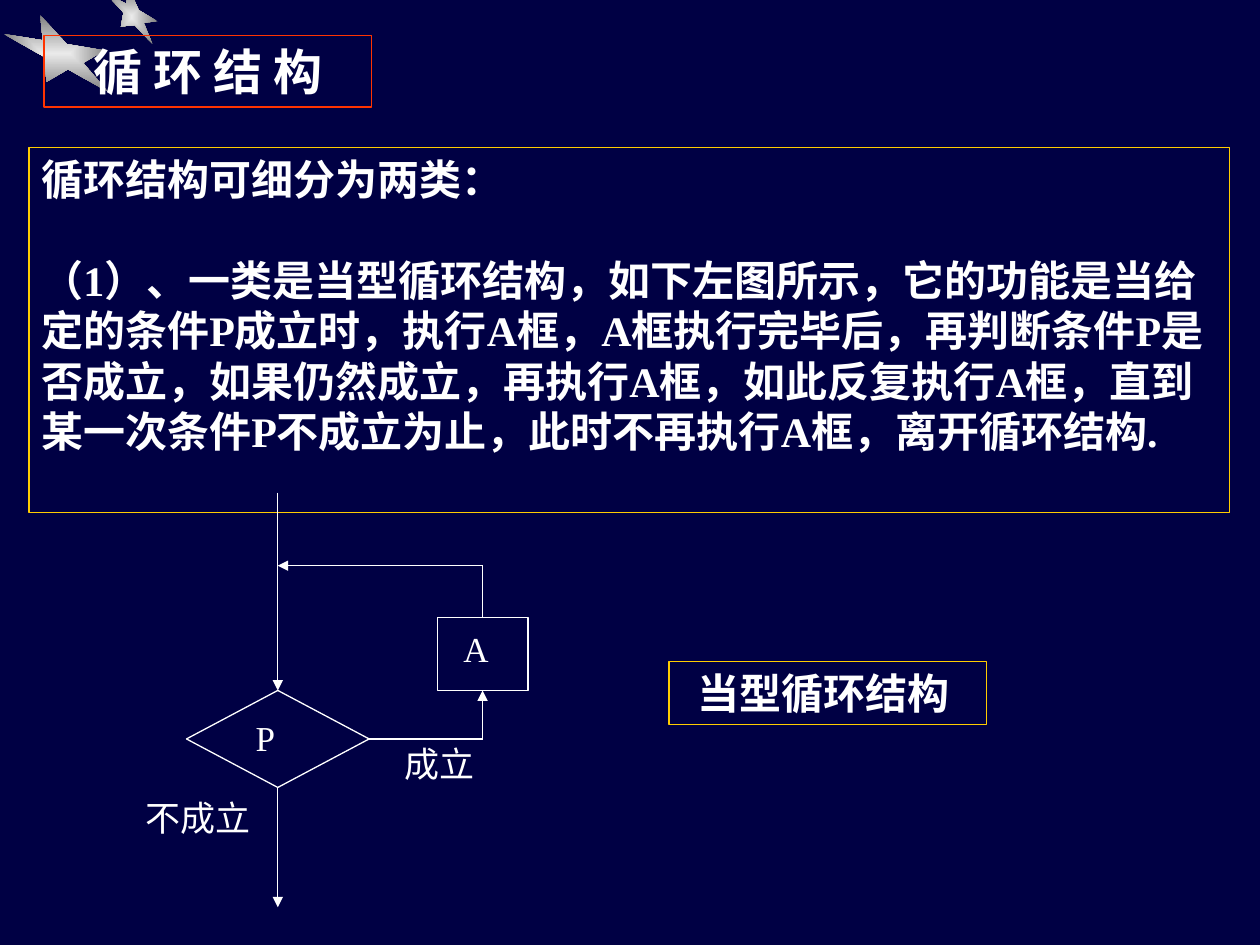
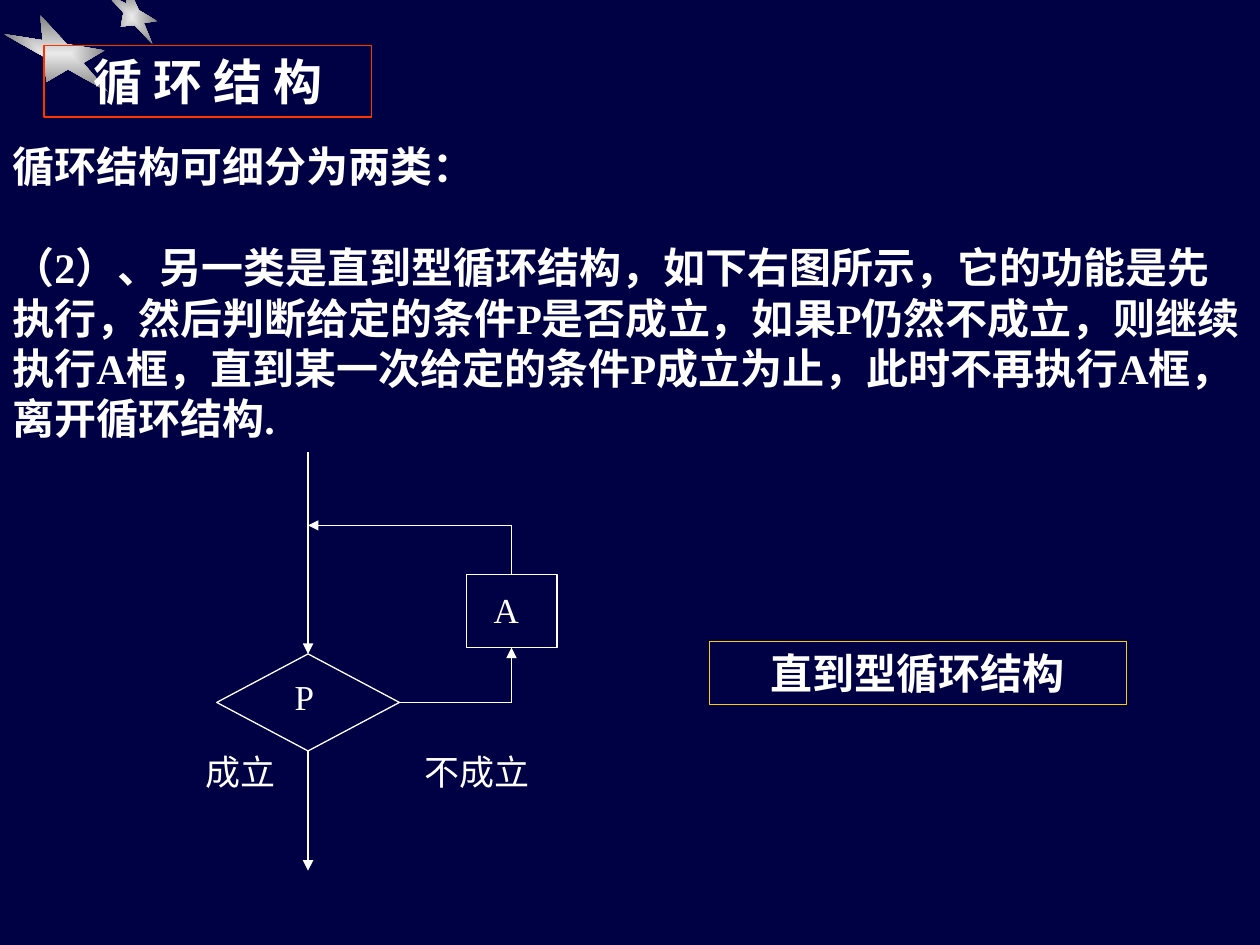
"""Build two slides on loop structures, each with a flow chart."""
import pptx
import pptx.util
import pptx.dml.color
import pptx.enum.shapes
import pptx.enum.text
import pptx.oxml
import pptx.oxml.ns
from pptx.util import Inches

WHITE, GOLD, RED, NAVY = "FFFFFF", "FFCC00", "FF3300", "000044"
FONT = "Times New Roman"
KIND = pptx.enum.shapes.MSO_SHAPE
ALIGN = pptx.enum.text.PP_ALIGN
NS = pptx.oxml.ns.nsdecls("a")
color = pptx.dml.color.RGBColor.from_string

STARS = [
    [(1.21, 0.35), (1.07, 0.2), (0.96, 0.21), (0.98, 0.1), (0.84, -0.05),
     (1, 0.03), (1.03, -0.08), (1.1, 0.08), (1.25, 0.17), (1.14, 0.18)],
    [(0.86, 0.73), (0.54, 0.55), (0.37, 0.65), (0.35, 0.45), (0.03, 0.27),
     (0.34, 0.32), (0.32, 0.12), (0.53, 0.35), (0.83, 0.4), (0.66, 0.5)],
]
GLOW = (f'<a:gradFill {NS} rotWithShape="1"><a:gsLst>'
        '<a:gs pos="0"><a:srgbClr val="EAEAEA"/></a:gs>'
        '<a:gs pos="100000"><a:srgbClr val="808080"/></a:gs></a:gsLst>'
        '<a:path path="rect"><a:fillToRect l="50000" t="50000" r="50000" b="50000"/>'
        '</a:path></a:gradFill>')
INTRO = "循环结构可细分为两类："

PAGES = [
    {"title": 0.28, "body": (0.23, 1.17, 9.53, 2.9), "edge": GOLD,
     "text": "（1）、一类是当型循环结构，如下左图所示，它的功能是当给定的条件P成立时，"
             "执行A框，A框执行完毕后，再判断条件P是否成立，如果仍然成立，再执行A框，"
             "如此反复执行A框，直到某一次条件P不成立为止，此时不再执行A框，离开循环结构.",
     "test": (1.48, 5.48), "step": (3.47, 4.9), "start": 3.91,
     "tags": [("A", 3.58, 4.93, 0.84), ("P", 1.93, 5.64, 0.84),
              ("成立", 3.11, 5.84, 0.9), ("不成立", 1.06, 6.27, 1.26)],
     "name": "当型循环结构 ", "plate": (5.31, 5.25, 2.52, 0.5)},
    {"title": 0.36, "body": (0, 1.07, 10, 2.5), "edge": None,
     "text": "（2）、另一类是直到型循环结构，如下右图所示，它的功能是先执行，"
             "然后判断给定的条件P是否成立，如果P仍然不成立，则继续执行A框，"
             "直到某一次给定的条件P成立为止，此时不再执行A框，离开循环结构.",
     "test": (1.72, 5.19), "step": (3.7, 4.56), "start": 3.59,
     "tags": [("A", 3.82, 4.62, 0.84), ("P", 2.24, 5.31, 0.84),
              ("成立", 1.53, 5.91, 0.9), ("不成立", 3.27, 5.91, 1.08)],
     "name": "直到型循环结构", "plate": (5.63, 5.09, 3.31, 0.5)},
]


def box(slide, place, lines=(), size=20, bold=False, align=ALIGN.LEFT,
        edge=None, kind=KIND.RECTANGLE):
    """Add a hollow shape, or a text box when there is no edge."""
    place = [Inches(n) for n in place]
    if edge:
        shape = slide.shapes.add_shape(kind, *place)
        shape.shadow.inherit = False
        shape.fill.background()
        shape.line.color.rgb = color(edge)
        shape.line.width = pptx.util.Pt(0.75)
    else:
        shape = slide.shapes.add_textbox(*place)
    frame = shape.text_frame
    frame.word_wrap = True
    frame.vertical_anchor = pptx.enum.text.MSO_ANCHOR.TOP
    for i, line in enumerate(lines):
        para = frame.add_paragraph() if i else frame.paragraphs[0]
        para.alignment = align
        if i:
            para.space_before = pptx.util.Pt(28.8)
        run = para.add_run()
        run.text = line
        run.font.name = FONT
        run.font.size = pptx.util.Pt(size)
        run.font.bold = bold
        run.font.color.rgb = color(WHITE)
    return shape


def wire(slide, ends, arrow=False, begin=None, end=None):
    """Add a straight line, joined to (shape, side) where one is given."""
    line = slide.shapes.add_connector(
        pptx.enum.shapes.MSO_CONNECTOR.STRAIGHT, *[Inches(n) for n in ends])
    if begin:
        line.begin_connect(*begin)
    if end:
        line.end_connect(*end)
    line.line.color.rgb = color(WHITE)
    line.line.width = pptx.util.Pt(0.75)
    if arrow:
        line.line._get_or_add_ln().append(
            pptx.oxml.parse_xml(f'<a:tailEnd {NS} type="triangle"/>'))
    line._element.spPr.append(pptx.oxml.parse_xml(f"<a:effectLst {NS}/>"))


deck = pptx.Presentation()
deck.slide_width, deck.slide_height = Inches(10), Inches(7.5)

for page in PAGES:
    slide = deck.slides.add_slide(deck.slide_layouts[6])
    slide.background.fill.solid()
    slide.background.fill.fore_color.rgb = color(NAVY)

    for dots in STARS:
        dots = [(Inches(x), Inches(y)) for x, y in dots]
        pen = slide.shapes.build_freeform(*dots[0])
        pen.add_line_segments(dots[1:], close=True)
        star = pen.convert_to_shape()
        star.shadow.inherit = False
        star.line.fill.background()
        star._element.spPr.find(pptx.oxml.ns.qn("a:custGeom")).addnext(
            pptx.oxml.parse_xml(GLOW))

    box(slide, page["body"], [INTRO, page["text"]], 24, True, edge=page["edge"])
    box(slide, (0.35, page["title"], 2.6, 0.57), ["循 环 结 构"], 28, True,
        ALIGN.CENTER, RED)

    left, top = page["test"]
    test = box(slide, (left, top, 1.45, 0.77), edge=WHITE, kind=KIND.DIAMOND)
    step = box(slide, (*page["step"], 0.72, 0.58), edge=WHITE)
    mid, right = left + 0.725, page["step"][0] + 0.36
    high, low = page["step"][1], page["step"][1] + 0.58
    start, row, foot = page["start"], top + 0.385, top + 0.77
    back = start + 0.58

    wire(slide, (mid, start, mid, top), True, end=(test, 0))
    wire(slide, (mid, foot, mid, foot + 0.95), True, begin=(test, 2))
    wire(slide, (left + 1.45, row, right, row), begin=(test, 3))
    wire(slide, (right, row, right, low), True, end=(step, 2))
    wire(slide, (right, high, right, back), begin=(step, 0))
    wire(slide, (right, back, mid, back), True)

    for word, x, y, wide in page["tags"]:
        box(slide, (x, y, wide, 0.44), [word], align=ALIGN.JUSTIFY)
    box(slide, page["plate"], [page["name"]], 24, True, ALIGN.CENTER, GOLD)

deck.save("out.pptx")
